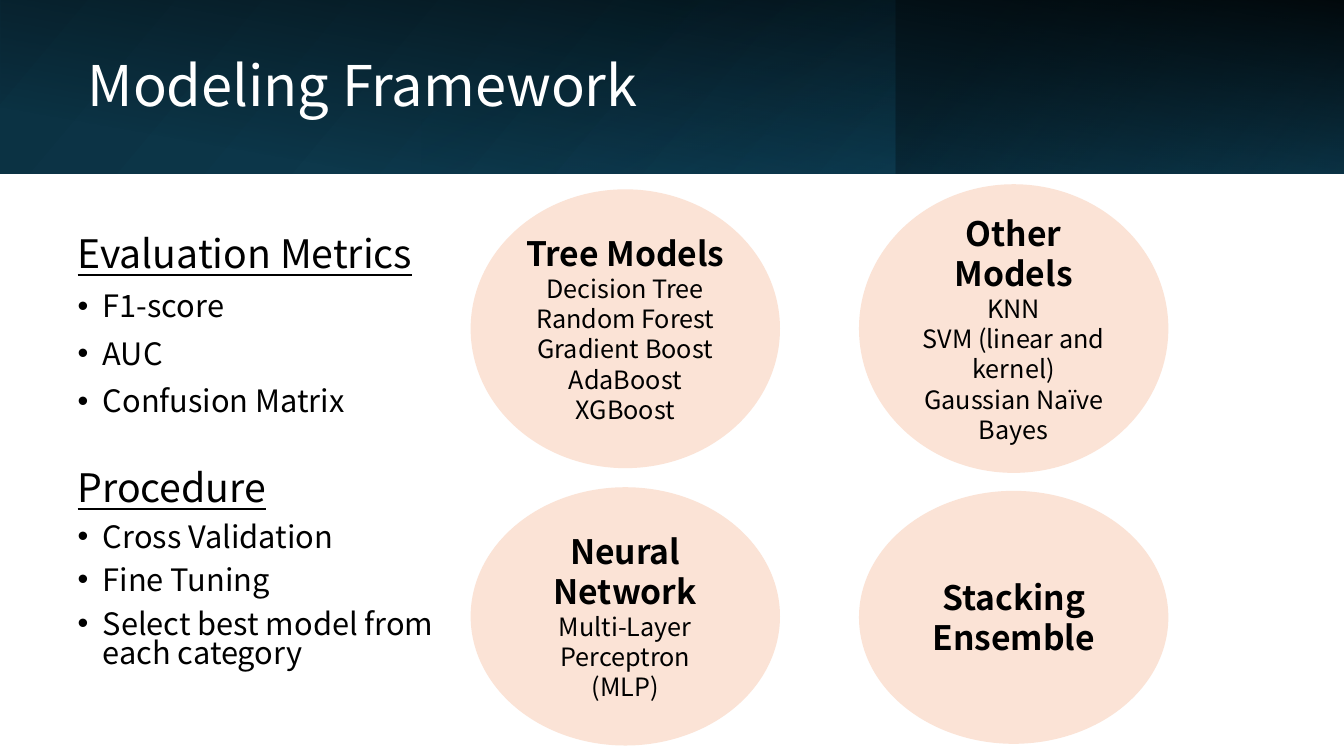
"""Build the Modeling Framework slide with evaluation metrics, procedure and model families."""
from typing import Any, NamedTuple

from pptx import Presentation
from pptx.dml.color import RGBColor
from pptx.enum.shapes import MSO_SHAPE
from pptx.enum.text import MSO_ANCHOR, MSO_AUTO_SIZE, PP_ALIGN
from pptx.oxml import parse_xml
from pptx.oxml.ns import nsdecls, qn
from pptx.util import Pt

FONT_NAME = "Noto Sans CJK SC"
WHITE = RGBColor(0xFF, 0xFF, 0xFF)
BLACK = RGBColor(0x00, 0x00, 0x00)
PEACH = RGBColor(0xFB, 0xE3, 0xD6)
NAVY = RGBColor(0x0B, 0x30, 0x41)
DEEP_TEAL = RGBColor(0x10, 0x48, 0x62)
TEAL = RGBColor(0x15, 0x60, 0x82)
SLIDE_WIDTH, SLIDE_HEIGHT, BANNER_HEIGHT = 960, 540, 124
ELLIPSE_WIDTH = 221
LIST_LEFT, LIST_WIDTH, LIST_HEIGHT = 48.24, 271.44, 154.8
BULLET_INDENT = 18


class Box(NamedTuple):
    left: float
    top: float
    width: float
    height: float


class Stop(NamedTuple):
    position: int
    color: RGBColor
    opacity: int = 100


class BannerLayer(NamedTuple):
    box: Box
    angle: int
    stops: tuple[Stop, Stop]
    rotation: int = 0
    flipped: bool = False


class BulletList(NamedTuple):
    top: float
    line_spacing: float
    heading: str
    items: tuple[str, ...]


class ModelFamily(NamedTuple):
    box: Box
    heading: str
    models: tuple[str, ...] = ()


BANNER_LAYERS = (
    BannerLayer(Box(0, 0, SLIDE_WIDTH, BANNER_HEIGHT), 140,
                (Stop(0, NAVY), Stop(100, DEEP_TEAL)), flipped=True),
    BannerLayer(Box(640, 0, 320, BANNER_HEIGHT), 320,
                (Stop(19, NAVY, 68), Stop(100, TEAL, 79)), rotation=180, flipped=True),
    BannerLayer(Box(418, -418, BANNER_HEIGHT, SLIDE_WIDTH), 190,
                (Stop(16, BLACK, 0), Stop(99, BLACK, 87)), rotation=90),
    BannerLayer(Box(301, 0, 339, BANNER_HEIGHT), 240,
                (Stop(0, TEAL, 17), Stop(74, NAVY, 0))),
)
BULLET_LISTS = (
    BulletList(164.16, 0.9, "Evaluation Metrics", ("F1-score", "AUC", "Confusion Matrix")),
    BulletList(334.08, 0.8, "Procedure",
               ("Cross Validation", "Fine Tuning", "Select best model from each category")),
)
MODEL_FAMILIES = (
    ModelFamily(Box(336.2, 135.2, ELLIPSE_WIDTH, 199.2), "Tree Models",
                ("Decision Tree", "Random Forest", "Gradient Boost", "AdaBoost", "XGBoost")),
    ModelFamily(Box(613.6, 131.6, ELLIPSE_WIDTH, 206.2), "Other Models",
                ("KNN", "SVM (linear and kernel)", "Gaussian Naïve Bayes")),
    ModelFamily(Box(336.2, 348, ELLIPSE_WIDTH, 184.5), "Neural Network",
                ("Multi-Layer Perceptron (MLP)",)),
    ModelFamily(Box(613.6, 350.6, ELLIPSE_WIDTH, 180.7), "Stacking Ensemble"),
)


def apply_format(target: Any, values: dict[str, Any]) -> None:
    for name, value in values.items():
        setattr(target, name, value)


def place(shape: Any, box: Box) -> None:
    apply_format(shape, {name: Pt(value) for name, value in box._asdict().items()})


def format_font(paragraph: Any, size: float, color: RGBColor, **values: Any) -> None:
    apply_format(paragraph.font, {"name": FONT_NAME, "size": Pt(size), **values})
    paragraph.font.color.rgb = color


def add_plain_shape(slide: Any, kind: MSO_SHAPE, box: Box) -> Any:
    shape = slide.shapes.add_shape(kind, *(Pt(value) for value in box))
    shape.shadow.inherit = False
    shape.line.fill.background()
    return shape


def add_banner_layer(slide: Any, layer: BannerLayer) -> None:
    shape = add_plain_shape(slide, MSO_SHAPE.RECTANGLE, layer.box)
    shape.rotation = layer.rotation
    properties = shape.element.spPr
    if layer.flipped:
        properties.find(qn("a:xfrm")).set("flipH", "1")
    stops = "".join(
        f'<a:gs pos="{stop.position * 1000}"><a:srgbClr val="{stop.color}">'
        f'<a:alpha val="{stop.opacity * 1000}"/></a:srgbClr></a:gs>'
        for stop in layer.stops
    )
    gradient = parse_xml(
        f'<a:gradFill {nsdecls("a")} rotWithShape="1"><a:gsLst>{stops}</a:gsLst>'
        f'<a:lin ang="{layer.angle * 60000}" scaled="0"/></a:gradFill>'
    )
    shape.fill.background()
    properties.replace(properties.find(qn("a:noFill")), gradient)
    slide.shapes.title.element.addprevious(shape.element)


def fill_title(title: Any) -> None:
    place(title, Box(55.44, 28.08, 558.72, 70.56))
    title.text = "Modeling Framework"
    apply_format(title.text_frame, {"vertical_anchor": MSO_ANCHOR.MIDDLE,
                                    "auto_size": MSO_AUTO_SIZE.NONE})
    paragraph = title.text_frame.paragraphs[0]
    apply_format(paragraph, {"alignment": PP_ALIGN.LEFT, "line_spacing": 0.9})
    format_font(paragraph, 40, WHITE)


def fill_list(placeholder: Any, content: BulletList) -> None:
    place(placeholder, Box(LIST_LEFT, content.top, LIST_WIDTH, LIST_HEIGHT))
    frame = placeholder.text_frame
    frame.text = "\n".join((content.heading, *content.items))
    apply_format(frame, {"auto_size": MSO_AUTO_SIZE.NONE, "word_wrap": True,
                         "vertical_anchor": MSO_ANCHOR.TOP})
    for index, paragraph in enumerate(frame.paragraphs):
        is_item = index > 0
        indent = Pt(BULLET_INDENT) if is_item else 0
        properties = paragraph._p.get_or_add_pPr()
        properties.set("marL", str(indent))
        properties.set("indent", str(-indent))
        bullet = '<a:buChar {} char="•"/>' if is_item else "<a:buNone {}/>"
        properties.append(parse_xml(bullet.format(nsdecls("a"))))
        apply_format(paragraph, {"line_spacing": content.line_spacing,
                                 "space_before": Pt(10 if is_item else 0)})
        format_font(paragraph, 22 if is_item else 28, BLACK, underline=not is_item)


def add_model_family(slide: Any, family: ModelFamily) -> None:
    ellipse = add_plain_shape(slide, MSO_SHAPE.OVAL, family.box)
    ellipse.fill.solid()
    ellipse.fill.fore_color.rgb = PEACH
    frame = ellipse.text_frame
    frame.text = "\n".join((family.heading, *family.models))
    apply_format(frame, {"word_wrap": True, "vertical_anchor": MSO_ANCHOR.MIDDLE})
    for index, paragraph in enumerate(frame.paragraphs):
        paragraph.alignment = PP_ALIGN.CENTER
        format_font(paragraph, 18 if index else 24, BLACK, bold=index == 0)


def main() -> None:
    presentation = Presentation()
    apply_format(presentation, {"slide_width": Pt(SLIDE_WIDTH),
                                "slide_height": Pt(SLIDE_HEIGHT)})
    two_content_layout = presentation.slide_layouts[3]
    slide = presentation.slides.add_slide(two_content_layout)
    title, *list_placeholders = slide.placeholders
    fill_title(title)
    for placeholder, content in zip(list_placeholders, BULLET_LISTS):
        fill_list(placeholder, content)
    for layer in BANNER_LAYERS:
        add_banner_layer(slide, layer)
    for family in MODEL_FAMILIES:
        add_model_family(slide, family)
    presentation.save("out.pptx")


if __name__ == "__main__":
    main()
